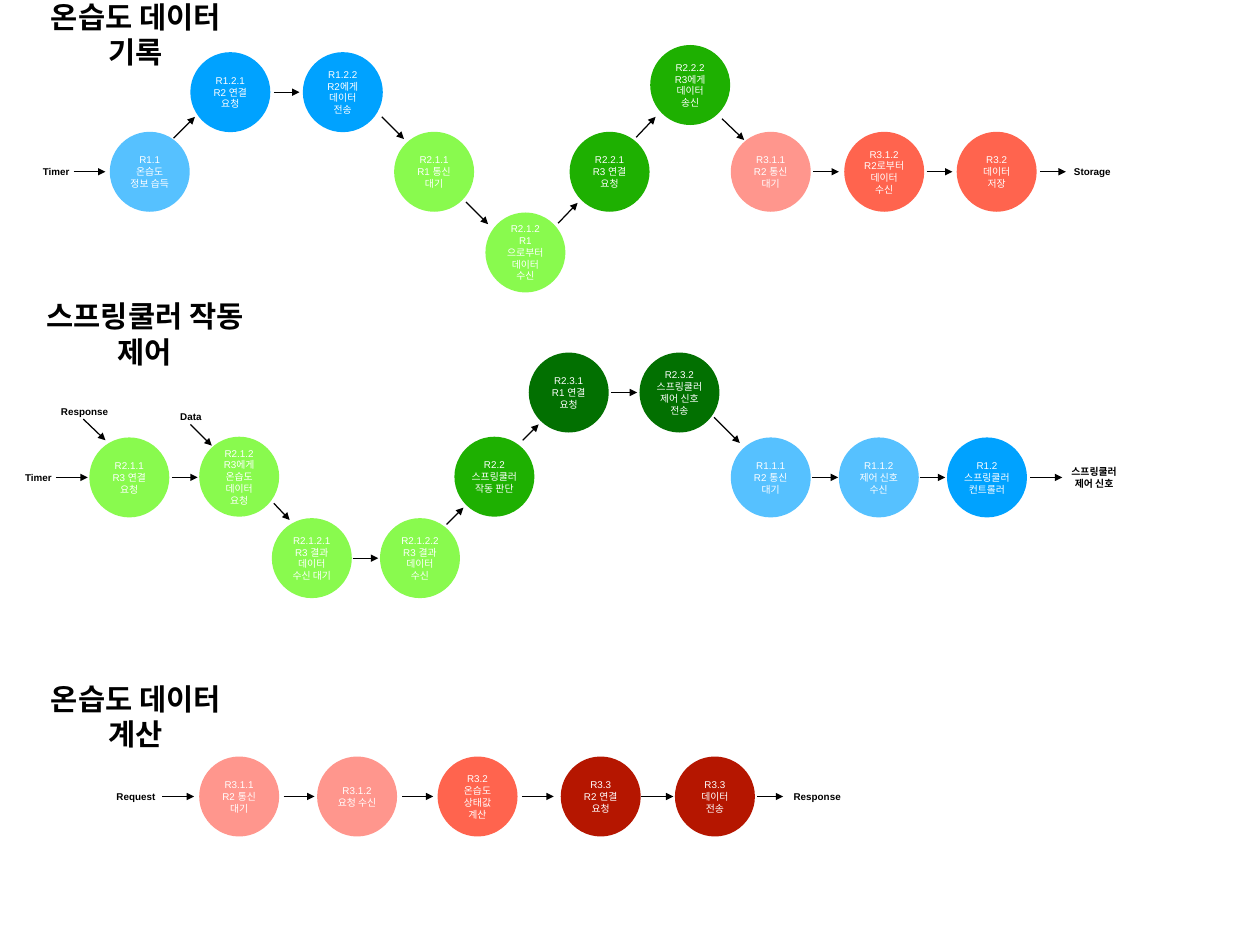
import dataclasses

import pptx
import pptx.dml.color
import pptx.enum.shapes
import pptx.enum.text
import pptx.oxml.ns
import pptx.util
from lxml import etree

Pt = pptx.util.Pt
RGB = pptx.dml.color.RGBColor.from_string


@dataclasses.dataclass(frozen=True)
class Theme:
    font: str = "Arial"
    black: str = "000000"
    white: str = "FFFFFF"
    sky: str = "56C1FF"
    blue: str = "00A2FF"
    lime: str = "89FA4E"
    green: str = "1EB001"
    forest: str = "027001"
    pink: str = "FF968D"
    coral: str = "FF644E"
    red: str = "B51600"
    title_size: int = 24
    text_size: int = 8
    line_width: int = 1


THEME = Theme()
CIRCLE_SIZE = 65
TITLE_HEIGHT = 38
FRAME_FORMAT = {
    "margin_left": Pt(4), "margin_right": Pt(4), "margin_top": Pt(4), "margin_bottom": Pt(4),
    "vertical_anchor": pptx.enum.text.MSO_ANCHOR.MIDDLE,
}
LABEL_FORMAT = FRAME_FORMAT | {
    "word_wrap": False,
    "auto_size": pptx.enum.text.MSO_AUTO_SIZE.SHAPE_TO_FIT_TEXT,
}
CIRCLE_FORMAT = FRAME_FORMAT | {"word_wrap": True}


def apply_format(target, values):
    for name, value in values.items():
        setattr(target, name, value)


def write_text(shape, text, frame_format, size, color, bold):
    frame = shape.text_frame
    apply_format(frame, frame_format)
    frame.text = text
    for paragraph in frame.paragraphs:
        paragraph.alignment = pptx.enum.text.PP_ALIGN.CENTER
        for run in paragraph.runs:
            apply_format(run.font, {"name": THEME.font, "size": Pt(size), "bold": bold})
            run.font.color.rgb = RGB(color)


def add_label(slide, left, top, width, height, text, size=THEME.text_size):
    shape = slide.shapes.add_textbox(Pt(left), Pt(top), Pt(width), Pt(height))
    write_text(shape, text, LABEL_FORMAT, size, THEME.black, True)


def add_circle(slide, center_x, center_y, color, text):
    shape = slide.shapes.add_shape(
        pptx.enum.shapes.MSO_SHAPE.OVAL,
        Pt(center_x - CIRCLE_SIZE / 2), Pt(center_y - CIRCLE_SIZE / 2),
        Pt(CIRCLE_SIZE), Pt(CIRCLE_SIZE))
    shape.shadow.inherit = False
    shape.fill.solid()
    shape.fill.fore_color.rgb = RGB(color)
    shape.line.fill.background()
    write_text(shape, text, CIRCLE_FORMAT, THEME.text_size, THEME.white, False)


def add_arrow(slide, start_x, start_y, end_x, end_y):
    connector = slide.shapes.add_connector(
        pptx.enum.shapes.MSO_CONNECTOR.STRAIGHT,
        Pt(start_x), Pt(start_y), Pt(end_x), Pt(end_y))
    connector.line.width = Pt(THEME.line_width)
    connector.line.color.rgb = RGB(THEME.black)
    qualified = pptx.oxml.ns.qn
    etree.SubElement(connector.line._get_or_add_ln(), qualified("a:tailEnd"), type="triangle")
    etree.SubElement(connector._element.spPr, qualified("a:effectLst"))


def add_flow(slide, left, top, flow):
    """Place one flow; its coordinates count from the corner (left, top)."""
    # Arrows
    for start_x, start_y, end_x, end_y in flow["arrows"]:
        add_arrow(slide, left + start_x, top + start_y, left + end_x, top + end_y)
    # Process steps
    for center_x, center_y, color, text in flow["steps"]:
        add_circle(slide, left + center_x, top + center_y, color, text)
    # Inputs and outputs
    for center_x, center_y, width, text in flow["labels"]:
        height = 18 + 9.4 * text.count("\n")
        add_label(slide, left + center_x - width / 2, top + center_y - height / 2,
                  width, height, text)
    # Title
    title_left, width, text = flow["title"]
    add_label(slide, left + title_left, top, width, TITLE_HEIGHT, text, THEME.title_size)


# Heights of the rows of steps inside each flow
RECORD_HIGH, RECORD_AXIS, RECORD_LOW = 66.3, 131, 196.6
CONTROL_HIGH, CONTROL_AXIS, CONTROL_LOW = 67, 136, 201.6
COMPUTE_AXIS = 84.3

RECORD_FLOW = {
    "title": (16, 188.6, "온습도 데이터 기록"),
    "steps": [
        (121.7, RECORD_AXIS, THEME.sky, "R1.1\n온습도 정보 습득"),
        (187.2, RECORD_HIGH, THEME.blue, "R1.2.1\nR2 연결 요청"),
        (278.6, RECORD_HIGH, THEME.blue, "R1.2.2\nR2에게 데이터 전송"),
        (352.8, RECORD_AXIS, THEME.lime, "R2.1.1\nR1 통신 대기"),
        (427, RECORD_LOW, THEME.lime, "R2.1.2\nR1으로부터\n데이터 수신"),
        (495.4, RECORD_AXIS, THEME.green, "R2.2.1\nR3 연결 요청"),
        (560.9, 60.5, THEME.green, "R2.2.2\nR3에게\n데이터 송신"),
        (626.4, RECORD_AXIS, THEME.pink, "R3.1.1\nR2 통신 대기"),
        (718.6, RECORD_AXIS, THEME.coral, "R3.1.2\nR2로부터\n데이터 수신"),
        (810, RECORD_AXIS, THEME.coral, "R3.2\n데이터 저장"),
    ],
    "arrows": [
        (59.8, RECORD_AXIS, 85.7, RECORD_AXIS), (141.1, 103.7, 158.4, 86.4),
        (222.5, RECORD_HIGH, 243.4, RECORD_HIGH), (310.3, 86.4, 328.3, 104.4),
        (378.7, 155.6, 396.7, 173.6), (453.6, 172.8, 469.4, 156.3),
        (517, 103, 532.8, 86.4), (586.8, 87.9, 604.8, 105.2),
        (661, RECORD_AXIS, 681.8, RECORD_AXIS), (753.1, RECORD_AXIS, 774, RECORD_AXIS),
        (845.3, RECORD_AXIS, 866.2, RECORD_AXIS),
    ],
    "labels": [(45.7, RECORD_AXIS, 31, "Timer"), (887.8, RECORD_AXIS, 39, "Storage")],
}

CONTROL_FLOW = {
    "title": (13, 209.5, "스프링쿨러 작동 제어"),
    "steps": [
        (105.1, CONTROL_AXIS, THEME.lime, "R2.1.1\nR3 연결 요청"),
        (194.4, 135.4, THEME.lime, "R2.1.2\nR3에게\n온습도 데이터\n요청"),
        (253.4, CONTROL_LOW, THEME.lime, "R2.1.2.1\nR3 결과 데이터 수신 대기"),
        (341.3, CONTROL_LOW, THEME.lime, "R2.1.2.2\nR3 결과 데이터 수신"),
        (401.8, 135.4, THEME.green, "R2.2\n스프링쿨러\n작동 판단"),
        (462.2, CONTROL_HIGH, THEME.forest, "R2.3.1\nR1 연결 요청"),
        (552.2, CONTROL_HIGH, THEME.forest, "R2.3.2\n스프링쿨러\n제어 신호 전송"),
        (626.4, CONTROL_AXIS, THEME.sky, "R1.1.1\nR2 통신 대기"),
        (714.2, CONTROL_AXIS, THEME.sky, "R1.1.2\n제어 신호 수신"),
        (802.1, CONTROL_AXIS, THEME.blue, "R1.2\n스프링쿨러\n컨트롤러"),
    ],
    "arrows": [
        (45.4, CONTROL_AXIS, 71.3, CONTROL_AXIS), (67.7, 88.6, 85.7, 105.8),
        (139.7, CONTROL_AXIS, 160.6, CONTROL_AXIS), (154.8, 92.9, 172.1, 110.2),
        (222.5, 157, 235.4, 170.6), (286.6, CONTROL_LOW, 307.4, CONTROL_LOW),
        (362.9, 174.2, 376.6, 160.6), (424.8, 105.8, 437.8, 92.9),
        (496.8, CONTROL_HIGH, 517.7, CONTROL_HIGH), (580.3, 87.1, 601.2, 108),
        (660.2, CONTROL_AXIS, 681.1, CONTROL_AXIS), (747.4, CONTROL_AXIS, 768.2, CONTROL_AXIS),
        (837.4, CONTROL_AXIS, 863.3, CONTROL_AXIS),
    ],
    "labels": [
        (31.3, CONTROL_AXIS, 31, "Timer"), (68.8, 82.4, 47, "Response"),
        (155.2, 86.8, 26.6, "Data"), (889.2, CONTROL_AXIS, 46, "스프링쿨러\n제어 신호"),
    ],
}

COMPUTE_FLOW = {
    "title": (16, 188.6, "온습도 데이터 계산"),
    "steps": [
        (194.4, COMPUTE_AXIS, THEME.pink, "R3.1.1\nR2 통신 대기"),
        (290.2, COMPUTE_AXIS, THEME.pink, "R3.1.2\n요청 수신"),
        (388.1, COMPUTE_AXIS, THEME.coral, "R3.2\n온습도 상태값\n계산"),
        (488.2, COMPUTE_AXIS, THEME.red, "R3.3\nR2 연결 요청"),
        (581, COMPUTE_AXIS, THEME.red, "R3.3\n데이터 전송"),
    ],
    "arrows": [
        (start, COMPUTE_AXIS, end, COMPUTE_AXIS)
        for start, end in [(131.8, 157.7), (230.4, 255.6), (326.9, 352.1),
                           (424.1, 450), (521.3, 547.2), (615.6, 636.5)]
    ],
    "labels": [(110.5, COMPUTE_AXIS, 41, "Request"), (664.2, COMPUTE_AXIS, 47, "Response")],
}


def main():
    presentation = pptx.Presentation()
    apply_format(presentation, {"slide_width": Pt(1024), "slide_height": Pt(768)})
    slide = presentation.slides.add_slide(presentation.slide_layouts[6])
    for top, flow in [(8.6, RECORD_FLOW), (252, CONTROL_FLOW), (563, COMPUTE_FLOW)]:
        add_flow(slide, 0, top, flow)
    presentation.save("out.pptx")


if __name__ == "__main__":
    main()
